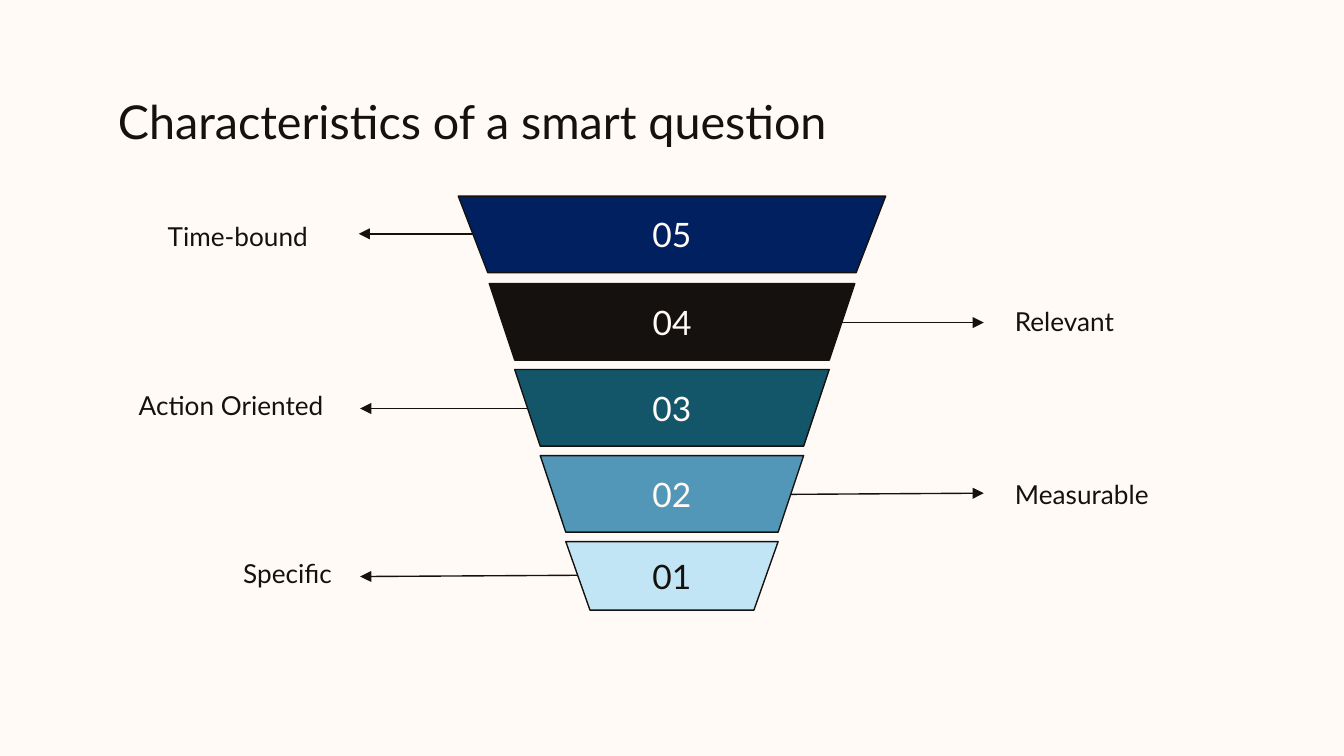
"""Build a slide with a five-step funnel of smart question characteristics."""
from dataclasses import dataclass

from lxml import etree
from pptx import Presentation
from pptx.dml.color import RGBColor
from pptx.enum.shapes import MSO_CONNECTOR
from pptx.enum.text import MSO_ANCHOR, PP_ALIGN
from pptx.oxml.ns import qn
from pptx.shapes.autoshape import Shape
from pptx.slide import Slide
from pptx.util import Inches, Pt

STRAIGHT = MSO_CONNECTOR.STRAIGHT
LEFT, CENTER = PP_ALIGN.LEFT, PP_ALIGN.CENTER
TOP, MIDDLE = MSO_ANCHOR.TOP, MSO_ANCHOR.MIDDLE

CREAM = RGBColor(0xFF, 0xFA, 0xF6)
INK = RGBColor(0x15, 0x11, 0x0E)
NAVY = RGBColor(0x00, 0x20, 0x60)
TEAL = RGBColor(0x13, 0x56, 0x69)
BLUE = RGBColor(0x52, 0x96, 0xB8)
PALE = RGBColor(0xC2, 0xE5, 0xF5)

FONT = "Lato"
SLIDE_WIDTH = Inches(10)
SLIDE_HEIGHT = SLIDE_WIDTH * 9 // 16
AXIS = 5.0
LINE_WIDTH = Pt(0.75)


@dataclass(frozen=True)
class Band:
    number: str
    top: float
    height: float
    half_top: float
    half_bottom: float
    fill: RGBColor
    ink: RGBColor = CREAM


@dataclass(frozen=True)
class Label:
    text: str
    left: float
    top: float


@dataclass(frozen=True)
class Arrow:
    tip_x: float
    tip_y: float
    end_x: float
    end_y: float


BANDS = (
    Band("05", 1.46, 0.57, 1.59, 1.37, NAVY),
    Band("04", 2.11, 0.57, 1.36, 1.17, INK),
    Band("03", 2.75, 0.57, 1.17, 0.98, TEAL),
    Band("02", 3.39, 0.57, 0.98, 0.79, BLUE),
    Band("01", 4.03, 0.51, 0.79, 0.61, PALE, INK),
)
LABELS = (
    Label("Time-bound", 0.82, 1.54),
    Label("Relevant", 6.97, 2.17),
    Label("Action Oriented", 0.77, 2.8),
    Label("Measurable", 7.1, 3.46),
    Label("Specific", 1.19, 4.05),
)
ARROWS = (
    Arrow(2.67, 1.74, 4.36, 1.74),
    Arrow(7.32, 2.4, 5.62, 2.4),
    Arrow(2.68, 3.04, 4.38, 3.04),
    Arrow(7.32, 3.67, 5.62, 3.68),
    Arrow(2.68, 4.29, 4.38, 4.28),
)


def write(shape: Shape, text: str, size: float, color: RGBColor,
          align: PP_ALIGN = CENTER, anchor: MSO_ANCHOR = TOP) -> None:
    frame = shape.text_frame
    frame.text = text
    frame.word_wrap = True
    frame.vertical_anchor = anchor
    frame.margin_left = frame.margin_right = Inches(0.1)
    frame.margin_top = frame.margin_bottom = Inches(0.1)
    para = frame.paragraphs[0]
    para.alignment = align
    font = para.runs[0].font
    font.name, font.size = FONT, Pt(size)
    font.color.rgb = color


def draw_arrow(page: Slide, arrow: Arrow) -> None:
    connector = page.shapes.add_connector(
        STRAIGHT, Inches(arrow.tip_x), Inches(arrow.tip_y),
        Inches(arrow.end_x), Inches(arrow.end_y))
    connector.line.color.rgb = INK
    connector.line.width = LINE_WIDTH
    properties = connector._element.spPr
    outline = properties.find(qn("a:ln"))
    etree.SubElement(outline, qn("a:headEnd"), type="triangle")
    etree.SubElement(properties, qn("a:effectLst"))


def draw_band(page: Slide, band: Band) -> None:
    bottom = band.top + band.height
    corners = [
        (Inches(AXIS - band.half_top), Inches(band.top)),
        (Inches(AXIS + band.half_top), Inches(band.top)),
        (Inches(AXIS + band.half_bottom), Inches(bottom)),
        (Inches(AXIS - band.half_bottom), Inches(bottom)),
    ]
    builder = page.shapes.build_freeform(*corners[0])
    builder.add_line_segments(corners[1:], close=True)
    shape = builder.convert_to_shape()
    shape.shadow.inherit = False
    shape.fill.solid()
    shape.fill.fore_color.rgb = band.fill
    shape.line.color.rgb = INK
    shape.line.width = LINE_WIDTH
    write(shape, band.number, 18, band.ink, anchor=MIDDLE)


def draw_label(page: Slide, label: Label) -> None:
    box = page.shapes.add_textbox(Inches(label.left), Inches(label.top),
                                  Inches(1.9), Inches(0.64))
    write(box, label.text, 14, INK)


def main() -> None:
    deck = Presentation()
    deck.slide_width, deck.slide_height = SLIDE_WIDTH, SLIDE_HEIGHT
    page = deck.slides.add_slide(deck.slide_layouts[6])
    page.background.fill.solid()
    page.background.fill.fore_color.rgb = CREAM

    title = page.shapes.add_textbox(Inches(0.78), Inches(0.59),
                                    Inches(8.44), Inches(0.6))
    write(title, "Characteristics of a smart question", 25, INK, LEFT)
    for arrow in ARROWS:
        draw_arrow(page, arrow)
    for band in BANDS:
        draw_band(page, band)
    for label in LABELS:
        draw_label(page, label)
    deck.save("out.pptx")


if __name__ == "__main__":
    main()
